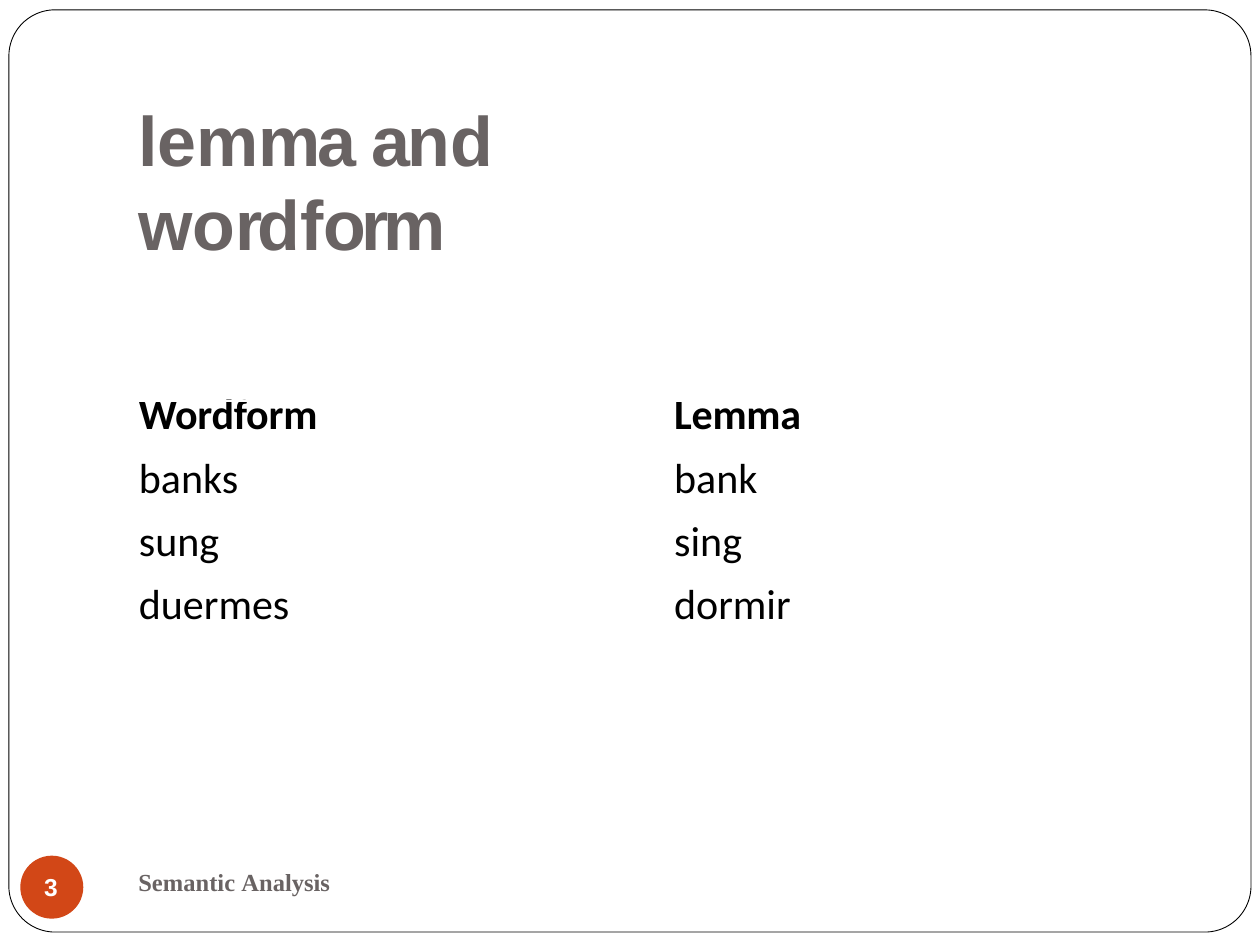
from pptx import Presentation
from pptx.dml.color import RGBColor
from pptx.enum.shapes import MSO_SHAPE
from pptx.util import Cm, Pt

COLORS = {"ink": "000000", "gray": "696363", "badge": "D24717", "white": "FFFFFF"}


def color(name):
    return RGBColor.from_string(COLORS[name])


class Deck:
    """Holds the style and the current slide."""

    def __init__(self):
        self.file = Presentation()
        self.file.slide_width, self.file.slide_height = Cm(25.4), Cm(19.05)
        self.slide = self.file.slides.add_slide(self.file.slide_layouts[6])

    def shape(self, kind, box, fill=None, line=None):
        item = self.slide.shapes.add_shape(kind, *map(Cm, box))
        item.shadow.inherit = False
        if fill:
            item.fill.solid()
            item.fill.fore_color.rgb = color(fill)
        else:
            item.fill.background()
        if line:
            item.line.color.rgb = color(line)
            item.line.width = Pt(0.5)
        else:
            item.line.fill.background()
        return item

    def letter(self, para, runs, font, size, tint, bold=True):
        """Add runs given as (text, letter spacing in points)."""
        for text, gap in runs:
            run = para.add_run()
            run.text = text
            run.font.name, run.font.size, run.font.bold = font, Pt(size), bold
            run.font.color.rgb = color(tint)
            if gap:
                run._r.get_or_add_rPr().set("spc", str(round(gap * 100)))

    def text(self, box, runs, font, size, tint, lead=None):
        frame = self.slide.shapes.add_textbox(*map(Cm, box)).text_frame
        frame.word_wrap = True
        frame.margin_left = frame.margin_right = 0
        frame.margin_top = frame.margin_bottom = 0
        para = frame.paragraphs[0]
        if lead:
            para.line_spacing = Pt(lead)
        self.letter(para, runs, font, size, tint)

    def table(self, box, rows, wides, highs, pads):
        grid = self.slide.shapes.add_table(len(rows), len(wides), *map(Cm, box)).table
        grid.first_row = grid.horz_banding = False
        for col, wide in zip(grid.columns, wides):
            col.width = Cm(wide)
        for r, (row, high) in enumerate(zip(rows, highs)):
            grid.rows[r].height = Cm(high)
            head = r == 0
            for c, word in enumerate(row):
                cell = grid.cell(r, c)
                cell.fill.background()
                cell.margin_left = Cm(pads[c])
                cell.margin_right = cell.margin_top = cell.margin_bottom = 0
                para = cell.text_frame.paragraphs[0]
                if head:
                    para.line_spacing = Pt(22.8)
                self.letter(para, [(word, -0.15 if head else 0)],
                            "Calibri", 24, "ink", head)


def main():
    deck = Deck()

    # Slide frame
    frame = deck.shape(MSO_SHAPE.ROUNDED_RECTANGLE, (0.18, 0.2, 25.04, 18.59), line="ink")
    frame.adjustments[0] = 0.05

    # Title, with its letters tightened by group
    title = [("l", -1.9), ("e", -1.8), ("m", -2.7), ("ma ", -2.1), ("an", -1.9),
             ("d ", -3), ("w", -5), ("o", -3.8), ("rd", -2.8), ("f", -2.2), ("orm", -3)]
    deck.text((2.79, 1.95, 12.76, 1.75), title, "Arial", 40, "gray")

    # Word pairs
    pairs = [("Wordform", "Lemma"), ("banks", "bank"),
             ("sung", "sing"), ("duermes", "dormir")]
    deck.table((2.44, 8.08, 14.07, 4.66), pairs, (7.57, 6.5),
               (1.06, 1.27, 1.27, 1.06), (0.36, 3.58))

    # Footer and page number
    deck.shape(MSO_SHAPE.OVAL, (0.41, 17.25, 1.27, 1.27), fill="badge")
    footer = [("Se", 0), ("m", -0.2), ("antic ", 0), ("A", -0.1), ("nalysis", 0)]
    deck.text((2.79, 17.5, 4, 0.61), footer, "Times New Roman", 14, "gray", 16.3)
    deck.text((0.89, 17.58, 0.5, 0.64), [("3", 0.4)], "Arial", 14, "white", 16.6)

    deck.file.save("out.pptx")


if __name__ == "__main__":
    main()
